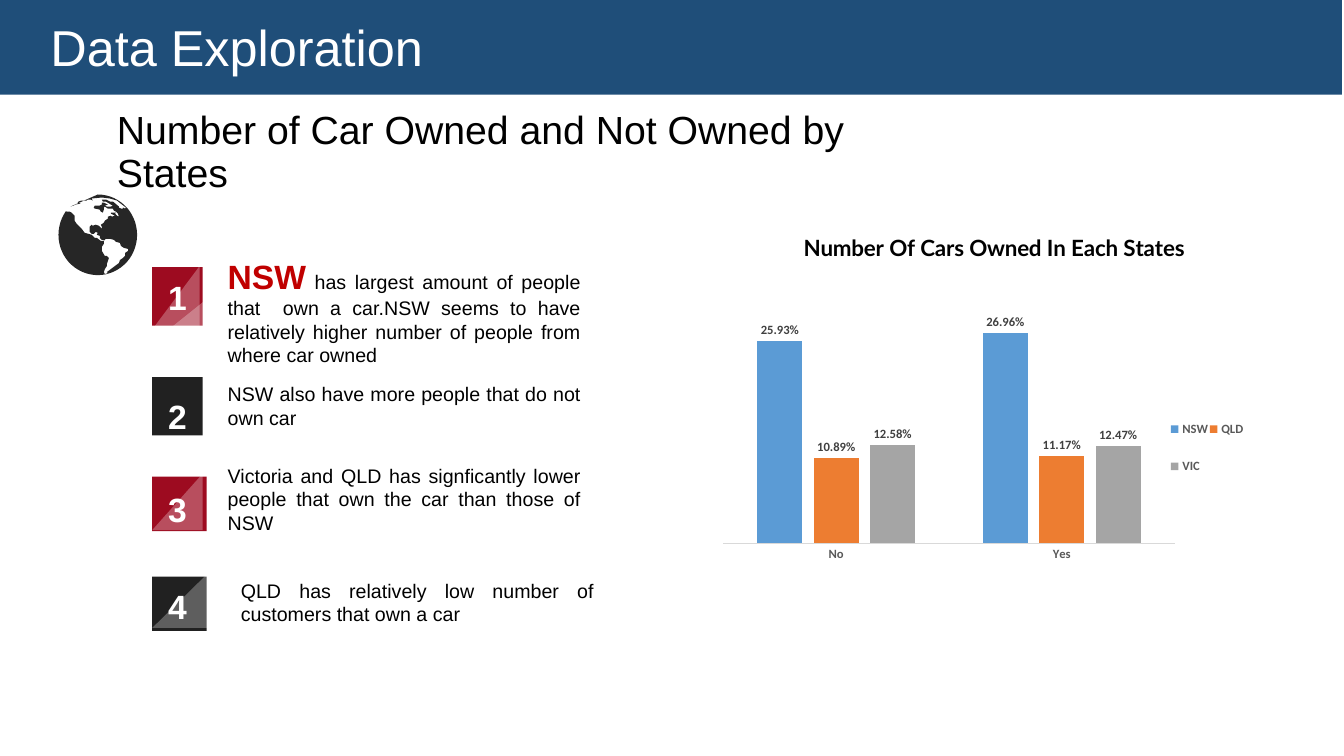
import math
import lxml.etree
import pptx
import pptx.chart.data
import pptx.dml.color
import pptx.enum.chart
import pptx.enum.shapes
import pptx.enum.text
import pptx.oxml.ns
import pptx.util

Inches = pptx.util.Inches
Pt = pptx.util.Pt
SHAPE = pptx.enum.shapes.MSO_SHAPE
ALIGN = pptx.enum.text.PP_ALIGN
MIDDLE = pptx.enum.text.MSO_ANCHOR.MIDDLE
qn = pptx.oxml.ns.qn

HUES = {
    "navy": "1F4E79", "red": "9D0B20", "dark": "212121", "globe": "262626",
    "white": "FFFFFF", "black": "000000", "hot": "C00000", "grey": "595959",
    "label": "404040", "rule": "D9D9D9",
    "NSW": "5B9BD5", "QLD": "ED7D31", "VIC": "A5A5A5",
}
HEAD = {"name": "Arial", "size": Pt(28), "bold": False}
BANNER = {"name": "Arial", "size": Pt(36), "bold": False}
BODY = {"name": "Arial", "size": Pt(14), "bold": False}
BIG = {"name": "Arial", "size": Pt(24), "bold": True}
SMALL = {"name": "Calibri", "size": Pt(9), "bold": True}
NAME = {"name": "Lato", "size": Pt(16), "bold": True}

RATES = {"NSW": (0.2593, 0.2696), "QLD": (0.1089, 0.1117), "VIC": (0.1258, 0.1247)}

EDGE = 1.51
ROWS = [
    {"tint": "red", "note": (2.16, 2.49, 3.7, 1.21), "square": (2.65, 0.5, 0.58),
     "gloss": (2.64, 0.47, 0.63), "digit": (2.5, 0.71), "lead": "NSW",
     "text": " has largest amount of people that  own a car.NSW seems to have "
             "relatively higher number of people from where car owned"},
    {"tint": "dark", "note": (2.16, 3.74, 3.7, 0.81), "square": (3.74, 0.5, 0.58),
     "gloss": (2.96, 0.55, 0.44), "digit": (3.68, 0.64), "lead": "",
     "text": "NSW also have more people that do not own car"},
    {"tint": "red", "note": (2.16, 4.55, 3.7, 0.81), "square": (4.73, 0.54, 0.54),
     "gloss": (4.7, 0.5, 0.56), "digit": (4.6, 0.71), "lead": "",
     "text": "Victoria and QLD has signficantly lower people that own the car "
             "than those of NSW"},
    {"tint": "dark", "note": (2.29, 5.69, 3.7, 0.57), "square": (5.72, 0.54, 0.54),
     "gloss": (5.69, 0.55, 0.54), "digit": (5.56, 0.71), "lead": "",
     "text": "QLD has relatively low number of customers that own a car"},
]

MIDST = (0.97, 2.33)
RADIUS = (0.39, 0.4)
UNITS = 1000
NORTH = [
    (0.7, 2.05), (0.73, 2.04), (0.75, 2.03), (0.8, 2.02), (0.77, 2.01), (0.78, 2),
    (0.81, 1.99), (0.86, 1.99), (0.87, 1.98), (0.9, 1.98), (0.92, 1.99), (0.91, 1.97),
    (1.01, 1.96), (1.09, 1.97), (1.16, 1.99), (1.21, 2.03), (1.25, 2.06), (1.24, 2.07),
    (1.22, 2.06), (1.22, 2.07), (1.2, 2.07), (1.18, 2.06), (1.18, 2.05), (1.12, 2),
    (1.09, 2), (1.05, 1.98), (1.01, 1.98), (1.02, 2), (1.05, 2), (1.1, 2.03),
    (1.12, 2.04), (1.1, 2.05), (1.06, 2.05), (1.04, 2.04), (1.07, 2.03), (1.03, 2.01),
    (1.01, 2.01), (1.01, 2.03), (0.99, 2.04), (0.94, 2.04), (0.93, 2.06), (0.94, 2.07),
    (0.99, 2.08), (1, 2.1), (1.02, 2.11), (1.03, 2.08), (1.03, 2.06), (1.04, 2.05),
    (1.07, 2.07), (1.12, 2.07), (1.13, 2.09), (1.15, 2.1), (1.17, 2.12), (1.18, 2.15),
    (1.16, 2.14), (1.14, 2.12), (1.15, 2.11), (1.1, 2.11), (1.1, 2.12), (1.14, 2.14),
    (1.11, 2.15), (1.1, 2.14), (1.07, 2.15), (1.07, 2.17), (1.04, 2.19), (1.03, 2.21),
    (1, 2.23), (1.01, 2.25), (1.01, 2.27), (0.98, 2.24), (0.95, 2.23), (0.92, 2.24),
    (0.91, 2.23), (0.89, 2.25), (0.89, 2.3), (0.91, 2.32), (0.93, 2.32), (0.95, 2.3),
    (0.97, 2.31), (0.96, 2.33), (0.99, 2.34), (0.99, 2.36), (1.01, 2.38), (1.03, 2.38),
    (1.03, 2.39), (1, 2.39), (0.96, 2.36), (0.94, 2.36), (0.91, 2.33), (0.84, 2.31),
    (0.81, 2.27), (0.76, 2.22), (0.74, 2.19), (0.74, 2.14), (0.71, 2.11), (0.69, 2.1),
    (0.66, 2.1),
]
SOUTH = [
    (1.24, 2.54), (1.22, 2.56), (1.19, 2.58), (1.18, 2.61), (1.14, 2.64), (1.1, 2.67),
    (1.06, 2.7), (1.07, 2.71), (1.04, 2.72), (1.03, 2.7), (1.04, 2.67), (1.06, 2.64),
    (1.06, 2.62), (1.08, 2.56), (1.06, 2.54), (1.04, 2.54), (1.01, 2.49), (1.01, 2.45),
    (1.03, 2.42), (1.03, 2.39), (1.05, 2.37), (1.09, 2.37), (1.13, 2.38), (1.15, 2.4),
    (1.19, 2.41), (1.2, 2.44), (1.23, 2.46), (1.27, 2.47), (1.27, 2.49), (1.24, 2.51),
]


def hue(name):
    return pptx.dml.color.RGBColor.from_string(HUES[name])


def apply(thing, form):
    for key, value in form.items():
        setattr(thing, key, value)


def style(font, form, tint):
    apply(font, form)
    font.color.rgb = hue(tint)


def fill(area, tint):
    area.fill.solid()
    area.fill.fore_color.rgb = hue(tint)


def paint(shape, tint):
    shape.shadow.inherit = False
    fill(shape, tint)
    shape.line.fill.background()


def block(slide, kind, box, tint):
    shape = slide.shapes.add_shape(kind, *map(Inches, box))
    paint(shape, tint)
    return shape


def write(frame, runs, align, gap=1.0):
    frame.word_wrap = True
    para = frame.paragraphs[0]
    apply(para, {"alignment": align, "line_spacing": gap})
    for text, form, tint in runs:
        run = para.add_run()
        run.text = text
        style(run.font, form, tint)


def note(slide, box, runs, gap=1.0):
    shape = slide.shapes.add_textbox(*map(Inches, box))
    write(shape.text_frame, runs, ALIGN.JUSTIFY, gap)


def gloss(slide, box):
    shape = block(slide, SHAPE.RIGHT_TRIANGLE, box, "white")
    props = shape.element.spPr
    props.find(qn("a:xfrm")).set("flipH", "1")
    tone = props.find(qn("a:solidFill"))[0]
    lxml.etree.SubElement(tone, qn("a:alpha")).set("val", "28000")


def point(slide, rank, row):
    runs = [(row["lead"], BIG, "hot")] if row["lead"] else []
    note(slide, row["note"], runs + [(row["text"], BODY, "black")])
    block(slide, SHAPE.RECTANGLE, (EDGE, *row["square"]), row["tint"])
    gloss(slide, (EDGE, *row["gloss"]))
    top, height = row["digit"]
    note(slide, (EDGE + 0.06, top, 0.44, height), [(str(rank), BIG, "white")], 1.5)


def globe(slide):
    rim = [tuple(mid + radius * turn(math.radians(angle))
                 for mid, radius, turn in zip(MIDST, RADIUS, (math.cos, math.sin)))
           for angle in range(216, -91, -6)]
    disc, land = [[(x * UNITS, y * UNITS) for x, y in line]
                  for line in (NORTH + rim, SOUTH)]
    pen = slide.shapes.build_freeform(*disc[0], scale=Inches(1) / UNITS)
    pen.add_line_segments(disc[1:])
    pen.move_to(*land[0])
    pen.add_line_segments(land[1:])
    paint(pen.convert_to_shape(), "globe")


def place(chart, tag, index, spots):
    node = chart.element.find(".//" + qn(tag))
    for old in node.findall(qn("c:layout")):
        node.remove(old)
    layout = lxml.etree.Element(qn("c:layout"))
    manual = lxml.etree.SubElement(layout, qn("c:manualLayout"))
    for key, value in spots.items():
        lxml.etree.SubElement(manual, qn("c:" + key)).set("val", str(value))
    node.insert(index, layout)


def bars(chart):
    plot = chart.plots[0]
    apply(plot, {"gap_width": 150, "overlap": -25, "vary_by_categories": False})
    for state in plot.series:
        fill(state.format, state.name)
        tags = state.data_labels
        apply(tags, {"show_value": True, "number_format": "0.00%",
                     "number_format_is_linked": False,
                     "position": pptx.enum.chart.XL_LABEL_POSITION.OUTSIDE_END})
        style(tags.font, SMALL, "label")


def axes(chart):
    apply(chart.value_axis, {"visible": False, "has_major_gridlines": False,
                             "minimum_scale": 0, "maximum_scale": 0.3})
    base = chart.category_axis
    base.major_tick_mark = pptx.enum.chart.XL_TICK_MARK.NONE
    base.format.line.color.rgb = hue("rule")
    base.format.line.width = Pt(0.75)
    style(base.tick_labels.font, SMALL, "grey")


def graph(slide):
    data = pptx.chart.data.CategoryChartData(number_format="0.00%")
    data.categories = ["No", "Yes"]
    for state, rates in RATES.items():
        data.add_series(state, rates)
    kind = pptx.enum.chart.XL_CHART_TYPE.COLUMN_CLUSTERED
    box = map(Inches, (6.96, 2.07, 5.39, 3.86))
    chart = slide.shapes.add_chart(kind, *box, data).chart
    style(chart.font, {**SMALL, "size": Pt(10)}, "black")
    write(chart.chart_title.text_frame,
          [("Number Of Cars Owned In Each States", NAME, "black")], ALIGN.CENTER)
    bars(chart)
    axes(chart)
    chart.has_legend = True
    apply(chart.legend, {"position": pptx.enum.chart.XL_LEGEND_POSITION.TOP,
                         "include_in_layout": False})
    style(chart.legend.font, SMALL, "grey")
    edge = {"xMode": "edge", "yMode": "edge"}
    place(chart, "c:plotArea", 0, {"layoutTarget": "inner", **edge,
                                   "x": 0.04, "y": 0.26, "w": 0.83, "h": 0.6})
    place(chart, "c:legend", 1, {**edge, "x": 0.86, "y": 0.49, "w": 0.16, "h": 0.25})
    place(chart, "c:title", 1, {**edge, "x": 0.18, "y": 0.05})


def head(slide):
    title = slide.shapes.title
    sides = ("left", "top", "width", "height")
    apply(title, dict(zip(sides, map(Inches, (1.06, 1.28, 8.53, 0.48)))))
    title.text_frame.vertical_anchor = MIDDLE
    write(title.text_frame, [("Number of Car Owned and Not Owned by States", HEAD, "black")],
          ALIGN.LEFT, 0.9)


def banner(slide):
    frame = block(slide, SHAPE.RECTANGLE, (-0.02, 0, 13.33, 0.94), "navy").text_frame
    apply(frame, {"margin_left": Inches(0.52), "margin_top": Inches(0.11),
                  "vertical_anchor": MIDDLE})
    write(frame, [("Data Exploration", BANNER, "white")], ALIGN.LEFT, 0.9)


def main():
    deck = pptx.Presentation()
    apply(deck, {"slide_width": Inches(13.33), "slide_height": Inches(7.5)})
    slide = deck.slides.add_slide(deck.slide_layouts[5])
    head(slide)
    for rank, row in enumerate(ROWS, 1):
        point(slide, rank, row)
    graph(slide)
    banner(slide)
    globe(slide)
    deck.save("out.pptx")


main()
